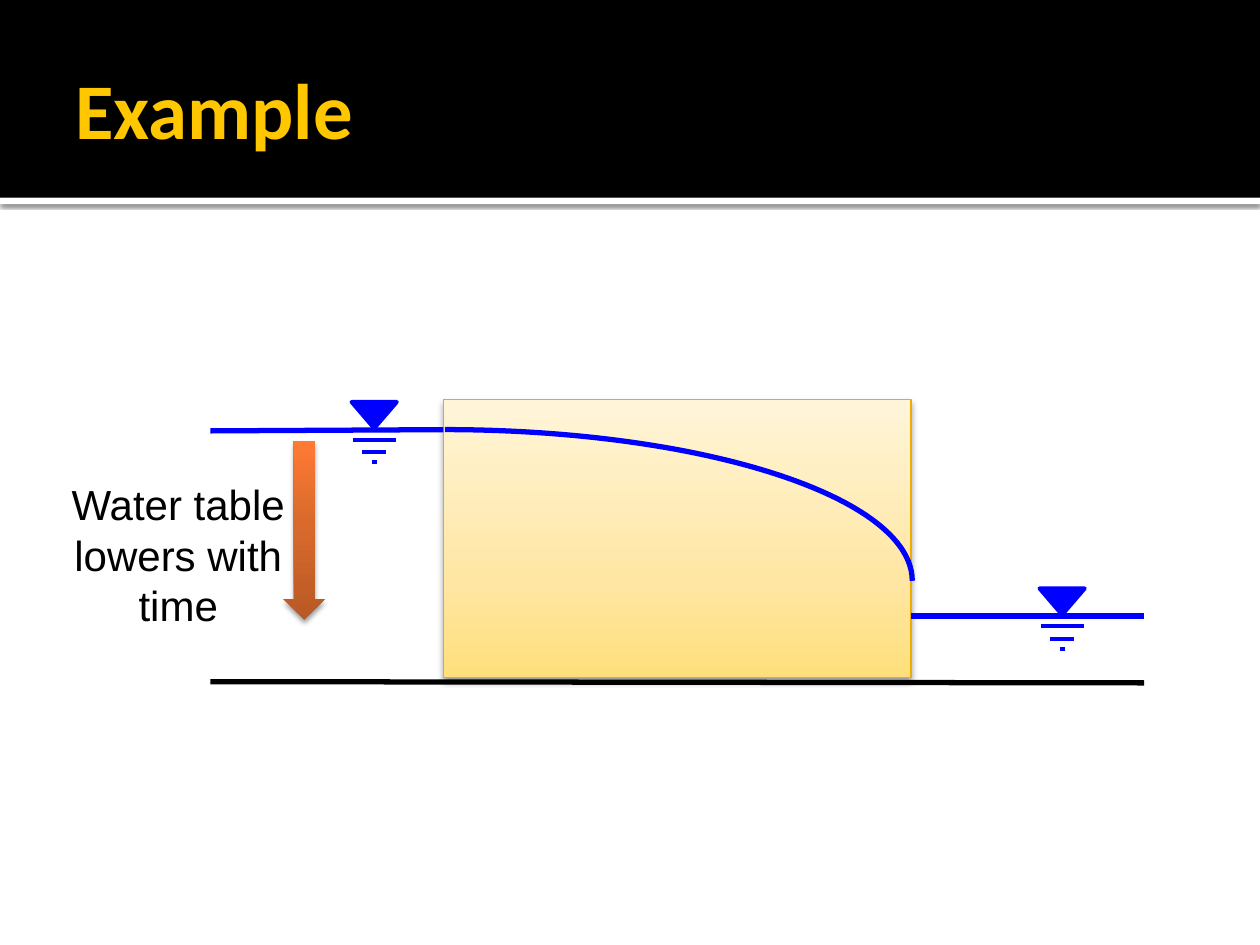
from copy import deepcopy

from lxml import etree
from pptx import Presentation
from pptx.dml.color import RGBColor
from pptx.enum.shapes import MSO_CONNECTOR, MSO_SHAPE
from pptx.enum.text import MSO_ANCHOR, PP_ALIGN
from pptx.oxml.ns import qn
from pptx.util import Inches, Pt

RECT, ARROW, ARC = MSO_SHAPE.RECTANGLE, MSO_SHAPE.DOWN_ARROW, MSO_SHAPE.ARC
STRAIGHT = MSO_CONNECTOR.STRAIGHT
MIDDLE, TOP = MSO_ANCHOR.MIDDLE, MSO_ANCHOR.TOP
LEFT, CENTER = PP_ALIGN.LEFT, PP_ALIGN.CENTER

THEME = {
    "white": "FFFFFF", "black": "000000", "title": "FFC700",
    "water": "0000FF", "soil_edge": "EFAB00",
    "soil": [(0, "FFDF7B"), (0.35, "FFE6A3"), (1, "FFF5D9")],
    "arrow": [(0, "B85925"), (0.55, "DA6A2C"), (1, "FF7B34")],
    "title_font": "Calibri", "title_size": 45,
    "label_font": "Arial", "label_size": 24,
}

prs = Presentation()
prs.slide_width, prs.slide_height = Inches(10), Inches(7.5)
COL, ROW = prs.slide_width / 100, prs.slide_height / 75
slide = prs.slides.add_slide(prs.slide_layouts[6])
shapes = slide.shapes


def grid(x, y, *size):
    """Turn grid columns and rows into slide lengths, in x, y order."""
    return [round(v * (ROW if i % 2 else COL)) for i, v in enumerate((x, y, *size))]


def finish(s, line=None, width=0, shadow=None):
    """Set the outline, then the effects: none, or (opacity %, blur pt, distance pt)."""
    if line:
        s.line.color.rgb = RGBColor.from_string(line)
        s.line.width = Pt(width)
    else:
        s.line.fill.background()
    effects = etree.SubElement(s._element.spPr, qn("a:effectLst"))
    if shadow:
        opacity, blur, dist = shadow
        outer = etree.SubElement(effects, qn("a:outerShdw"), blurRad=str(Pt(blur)),
                                 dist=str(Pt(dist)), dir="5400000", rotWithShape="0")
        color = etree.SubElement(outer, qn("a:srgbClr"), val=THEME["black"])
        etree.SubElement(color, qn("a:alpha"), val=str(opacity * 1000))


# Header band and the white strip below it
for top, height, fill, shadow in [(15.7, 0.5, "white", (60, 2.5, 0.8)),
                                  (0, 15.7, "black", None)]:
    s = shapes.add_shape(RECT, *grid(0, top, 100, height))
    s.fill.solid()
    s.fill.fore_color.rgb = RGBColor.from_string(THEME[fill])
    finish(s, shadow=shadow)

# Soil block and lowering arrow
for kind, box, fill, line, shadow in [
    (RECT, (35.2, 31.7, 37.1, 22.1), "soil", THEME["soil_edge"], (38, 3.5, 2)),
    (ARROW, (22.5, 35, 3.3, 14.2), "arrow", None, (38, 3.1, 2)),
]:
    s = shapes.add_shape(kind, *grid(*box))
    s.fill.gradient()
    s.fill.gradient_angle = 90
    stops = s._element.spPr.find(".//" + qn("a:gsLst"))
    stops.append(deepcopy(stops[0]))
    for stop, (position, color) in zip(s.fill.gradient_stops, THEME[fill]):
        stop.position = position
        stop.color.rgb = RGBColor.from_string(color)
    finish(s, line, 0.75, shadow)

# Base line, water levels, and the three dashes under each water symbol
lines = [
    (16.7, 54.1, 90.8, 54.2, "black", 3),
    (16.7, 34.2, 35.2, 34.1, "water", 3),
    (72.3, 48.9, 90.8, 48.9, "water", 3),
]
symbols = [(29.7, 31.9), (84.3, 46.7)]
for x, y in symbols:
    for drop, half in [(3, 1.7), (4, 0.95), (4.8, 0.2)]:
        lines.append((x - half, y + drop, x + half, y + drop, "water", 2.25))
for x1, y1, x2, y2, color, width in lines:
    s = shapes.add_connector(STRAIGHT, *grid(x1, y1, x2, y2))
    finish(s, THEME[color], width)

for x, y in symbols:
    builder = shapes.build_freeform(*grid(x - 1.8, y))
    builder.add_line_segments([grid(x, y + 2.1), grid(x + 1.8, y)], close=True)
    s = builder.convert_to_shape()
    s.fill.solid()
    s.fill.fore_color.rgb = RGBColor.from_string(THEME["water"])
    finish(s, THEME["water"], 2.25)

# Falling water table through the soil
s = shapes.add_shape(ARC, *grid(-1.8, 34.1, 74.2, 24))
s.fill.background()
finish(s, THEME["water"], 3)

# Title and label
for text, box, style, color, anchor, align, bold in [
    ("Example", (5, 1.7, 90, 13.7), "title", "title", MIDDLE, LEFT, True),
    ("Water table lowers with time", (3.3, 37.5, 21.7, 13), "label", "black",
     TOP, CENTER, False),
]:
    tf = shapes.add_textbox(*grid(*box)).text_frame
    tf.word_wrap = True
    tf.vertical_anchor = anchor
    tf.text = text
    p = tf.paragraphs[0]
    p.alignment = align
    font = p.runs[0].font
    font.name, font.size = THEME[style + "_font"], Pt(THEME[style + "_size"])
    font.bold = bold
    font.color.rgb = RGBColor.from_string(THEME[color])

prs.save("out.pptx")
